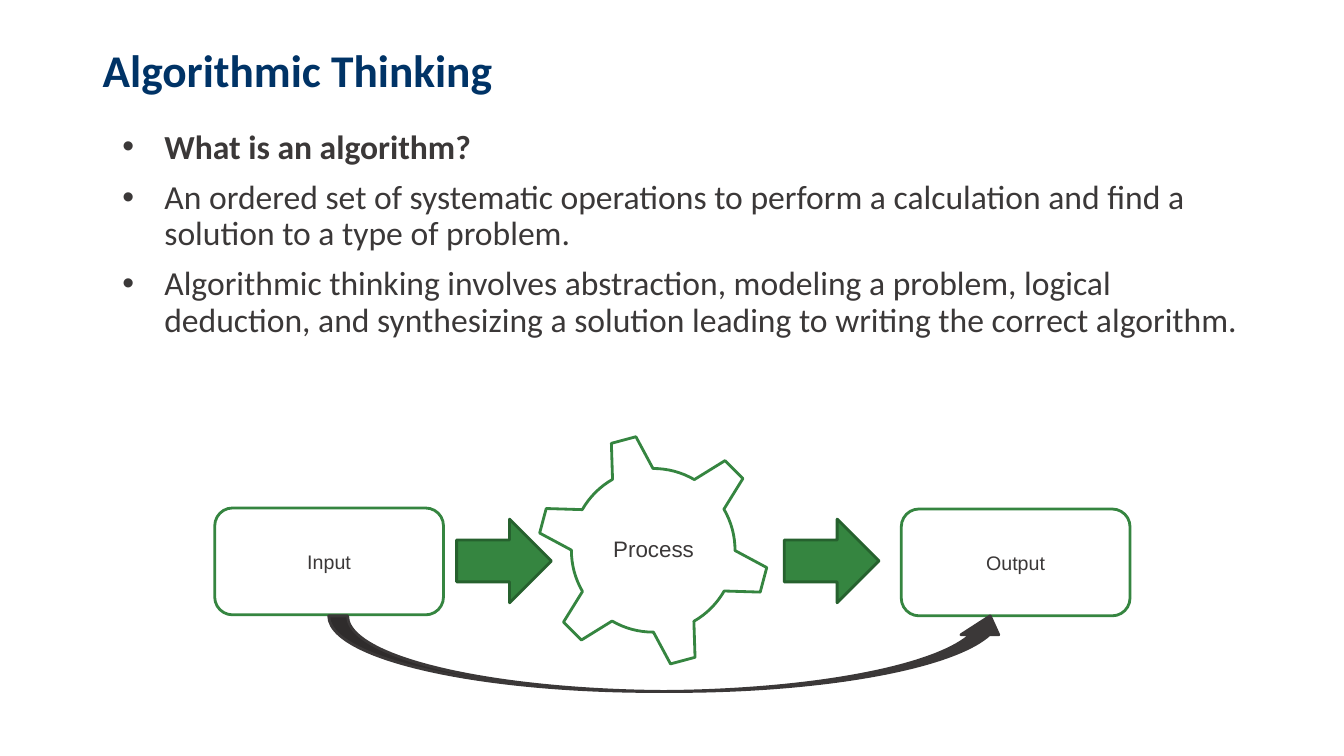
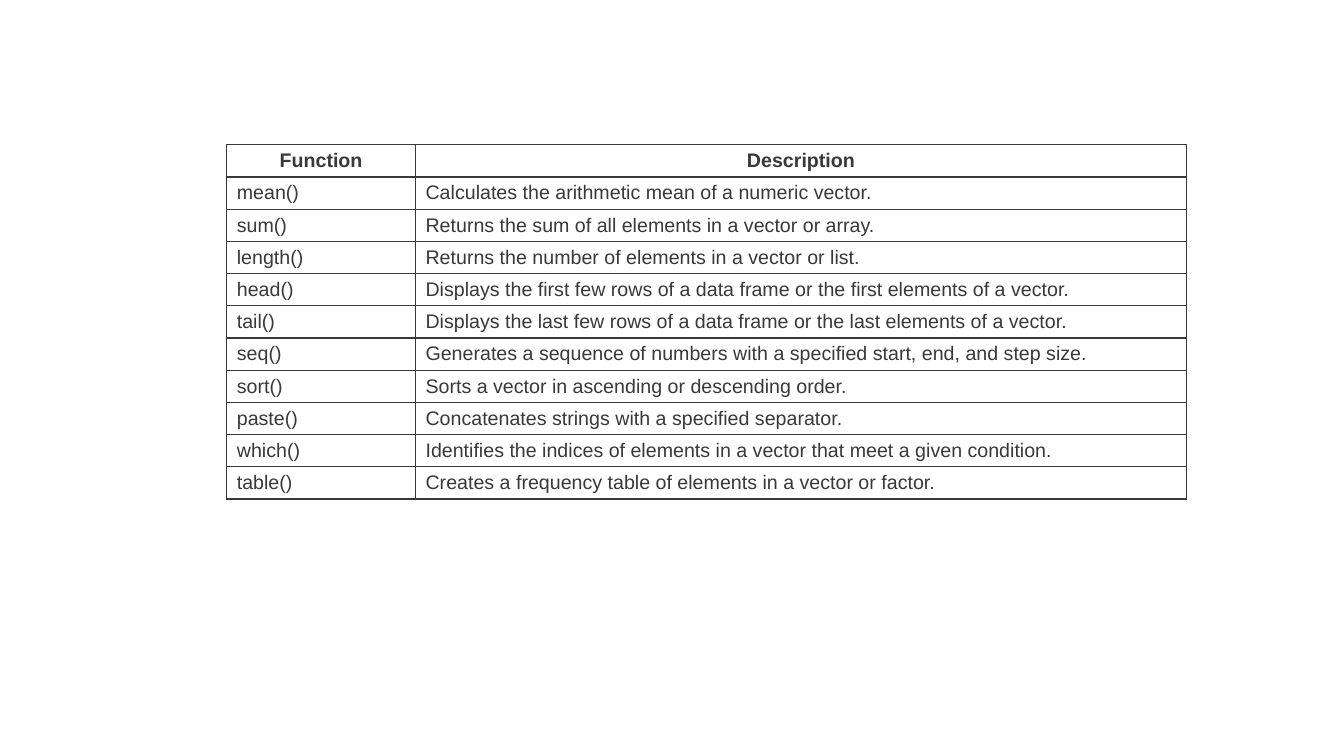
from lxml.etree import SubElement
from pptx import Presentation
from pptx.dml.color import RGBColor
from pptx.enum.shapes import MSO_SHAPE
from pptx.enum.text import MSO_ANCHOR, MSO_AUTO_SIZE, PP_ALIGN
from pptx.oxml.ns import qn
from pptx.util import Pt

NAVY = RGBColor(0x00, 0x33, 0x66)
CHARCOAL = RGBColor(0x3B, 0x38, 0x38)
GREEN = RGBColor(0x35, 0x85, 0x40)
DARK_GREEN = RGBColor(0x26, 0x61, 0x2E)
WHITE = RGBColor(0xFF, 0xFF, 0xFF)

HEADING = "Algorithmic Thinking"
POINTS = [
    "What is an algorithm?",
    "An ordered set of systematic operations to perform a calculation and find a solution to a type of problem.",
    "Algorithmic thinking involves abstraction, modeling a problem, logical deduction, "
    "and synthesizing a solution leading to writing the correct algorithm.",
]
FUNCTIONS = [
    ("Function", "Description"),
    ("mean()", "Calculates the arithmetic mean of a numeric vector."),
    ("sum()", "Returns the sum of all elements in a vector or array."),
    ("length()", "Returns the number of elements in a vector or list."),
    ("head()", "Displays the first few rows of a data frame or the first elements of a vector."),
    ("tail()", "Displays the last few rows of a data frame or the last elements of a vector."),
    ("seq()", "Generates a sequence of numbers with a specified start, end, and step size."),
    ("sort()", "Sorts a vector in ascending or descending order."),
    ("paste()", "Concatenates strings with a specified separator."),
    ("which()", "Identifies the indices of elements in a vector that meet a given condition."),
    ("table()", "Creates a frequency table of elements in a vector or factor."),
]


def write(paragraph, text, size=14, font="Arial", color=CHARCOAL, bold=False,
          align=PP_ALIGN.LEFT, line_spacing=1.0, space_before=0):
    paragraph.alignment = align
    paragraph.line_spacing = line_spacing
    paragraph.space_before = Pt(space_before)
    run = paragraph.add_run()
    run.text = text
    run.font.size = Pt(size)
    run.font.name = font
    run.font.bold = bold
    run.font.color.rgb = color


def prepare_frame(shape, anchor):
    frame = shape.text_frame
    frame.word_wrap = True
    frame.auto_size = MSO_AUTO_SIZE.NONE
    frame.vertical_anchor = anchor
    return frame


def place(shape, left, top, width, height):
    shape.left, shape.top = Pt(left), Pt(top)
    shape.width, shape.height = Pt(width), Pt(height)


def add_bullet(paragraph, color):
    properties = paragraph._p.get_or_add_pPr()
    properties.set("marL", str(Pt(36)))
    properties.set("indent", str(Pt(-30)))
    tint = SubElement(properties, qn("a:buClr"))
    SubElement(tint, qn("a:srgbClr"), val=str(color))
    SubElement(properties, qn("a:buFont"), typeface="Arial")
    SubElement(properties, qn("a:buChar"), char="•")


def add_heading(slide, left, top, width, height):
    heading = slide.shapes.title
    place(heading, left, top, width, height)
    frame = prepare_frame(heading, MSO_ANCHOR.TOP)
    write(frame.paragraphs[0], HEADING, size=32.4, font="Calibri", color=NAVY,
          bold=True, line_spacing=0.9)


def add_points(slide, left, top, width, height):
    body = slide.placeholders[1]
    place(body, left, top, width, height)
    frame = prepare_frame(body, MSO_ANCHOR.TOP)
    for index, point in enumerate(POINTS):
        paragraph = frame.add_paragraph() if index else frame.paragraphs[0]
        add_bullet(paragraph, CHARCOAL)
        write(paragraph, point, size=24, font="Calibri", bold=index == 0,
              line_spacing=0.9, space_before=10 if index else 0)


def add_process_diagram(slide, left, top):
    parts = slide.shapes.add_group_shape().shapes

    def add_part(preset, x, y, width, height, fill, line):
        part = parts.add_shape(preset, Pt(left + x), Pt(top + y), Pt(width), Pt(height))
        part.shadow.inherit = False
        part.fill.solid()
        part.fill.fore_color.rgb = fill
        part.line.color.rgb = line
        part.line.width = Pt(2)
        return part

    for label, x, y in (("Input", 0, 53.3), ("Output", 490.4, 54)):
        stage = add_part(MSO_SHAPE.ROUNDED_RECTANGLE, x, y, 163.4, 76.3, WHITE, GREEN)
        frame = prepare_frame(stage, MSO_ANCHOR.MIDDLE)
        write(frame.paragraphs[0], label, align=PP_ALIGN.CENTER)

    gear = add_part(MSO_SHAPE.GEAR_6, 229.7, 0, 167, 167, WHITE, GREEN)
    gear.adjustments[0] = 0.15
    gear.rotation = 345

    process = parts.add_textbox(Pt(left + 260.6), Pt(top + 36.7), Pt(105.8), Pt(93.6))
    frame = prepare_frame(process, MSO_ANCHOR.MIDDLE)
    frame.margin_left = frame.margin_right = Pt(3.6)
    write(frame.paragraphs[0], "Process", size=16, align=PP_ALIGN.CENTER, line_spacing=0.9)

    for x in (172.8, 406.8):
        add_part(MSO_SHAPE.RIGHT_ARROW, x, 61.2, 67.7, 59.8, GREEN, DARK_GREEN)
    add_part(MSO_SHAPE.CURVED_UP_ARROW, 81.4, 130.3, 486, 54, CHARCOAL, CHARCOAL)


def add_borders(cell, color):
    properties = cell._tc.get_or_add_tcPr()
    for side in ("lnL", "lnR", "lnT", "lnB"):
        border = SubElement(properties, qn(f"a:{side}"), w=str(Pt(1)))
        fill = SubElement(border, qn("a:solidFill"))
        SubElement(fill, qn("a:srgbClr"), val=str(color))


def add_function_table(slide, left, top, column_widths, row_height):
    frame = slide.shapes.add_table(
        len(FUNCTIONS), len(column_widths), Pt(left), Pt(top),
        Pt(sum(column_widths)), Pt(row_height * len(FUNCTIONS)))
    table = frame.table
    table.first_row = True
    table.horz_banding = False
    for column, width in zip(table.columns, column_widths):
        column.width = Pt(width)
    for row_index, entries in enumerate(FUNCTIONS):
        table.rows[row_index].height = Pt(row_height)
        is_header = row_index == 0
        for column_index, entry in enumerate(entries):
            cell = table.cell(row_index, column_index)
            add_borders(cell, CHARCOAL)
            cell.fill.background()
            cell.vertical_anchor = MSO_ANCHOR.MIDDLE
            write(cell.text_frame.paragraphs[0], entry, bold=is_header,
                  align=PP_ALIGN.CENTER if is_header else PP_ALIGN.LEFT)


def main():
    deck = Presentation()
    deck.slide_width, deck.slide_height = Pt(960), Pt(540)

    thinking = deck.slides.add_slide(deck.slide_layouts[1])
    add_heading(thinking, 66.2, 31, 828, 82.8)
    add_points(thinking, 74.2, 89.3, 828, 342.7)
    add_process_diagram(thinking, 153.4, 309.6)

    functions = deck.slides.add_slide(deck.slide_layouts[6])
    add_function_table(functions, 162, 103.5, (134.8, 550.8), 23)

    deck.save("out.pptx")


if __name__ == "__main__":
    main()
